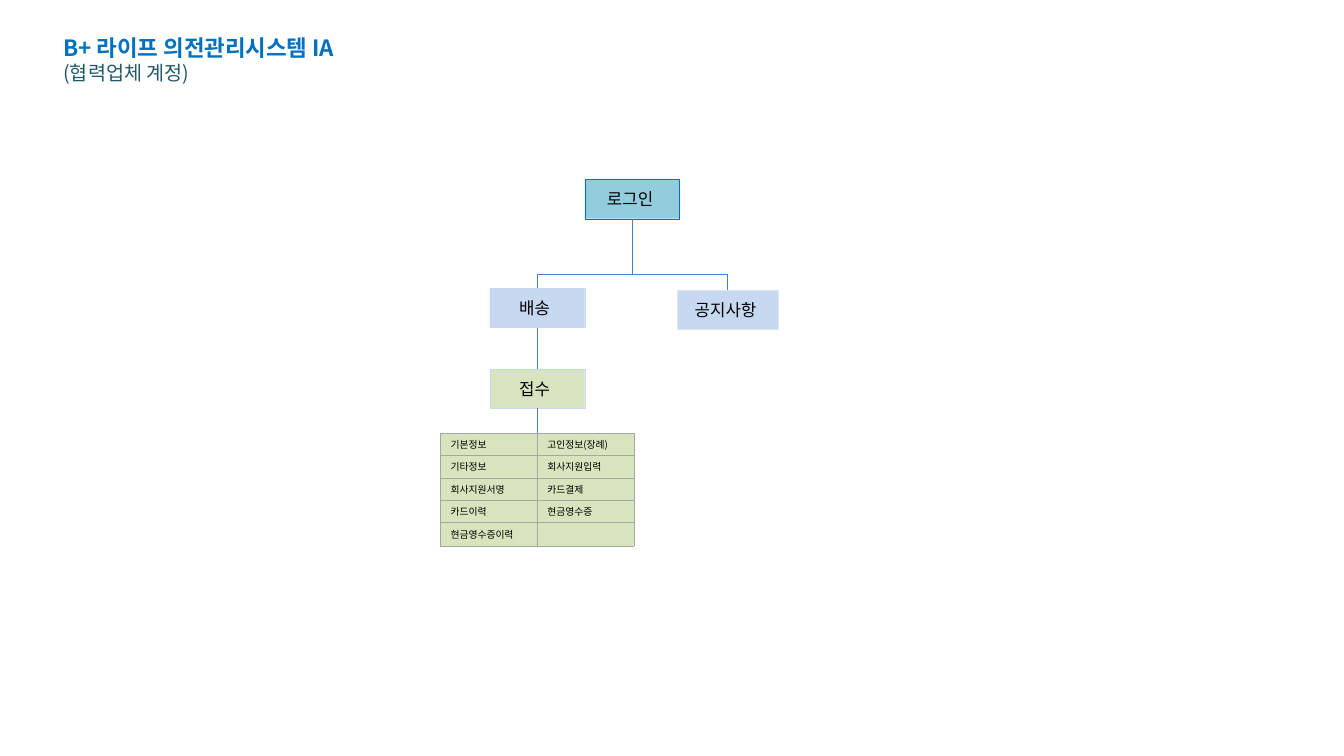
from lxml import etree
from pptx import Presentation
from pptx.dml.color import RGBColor
from pptx.enum.shapes import MSO_CONNECTOR, MSO_SHAPE
from pptx.enum.text import MSO_ANCHOR, PP_ALIGN
from pptx.oxml.ns import qn
from pptx.util import Inches, Pt

RECTANGLE = MSO_SHAPE.RECTANGLE
STRAIGHT = MSO_CONNECTOR.STRAIGHT
MIDDLE = MSO_ANCHOR.MIDDLE
LEFT = PP_ALIGN.LEFT
TOP_SIDE, BOTTOM_SIDE = 0, 2

FONT = "Noto Sans CJK KR"
BLACK = RGBColor(0x00, 0x00, 0x00)
TITLE_BLUE = RGBColor(0x00, 0x70, 0xC0)
SUBTITLE_TEAL = RGBColor(0x21, 0x59, 0x68)
LOGIN_TEAL = RGBColor(0x93, 0xCD, 0xDD)
MENU_BLUE = RGBColor(0xC6, 0xD9, 0xF1)
PALE_BLUE = RGBColor(0xDC, 0xE6, 0xF2)
DETAIL_GREEN = RGBColor(0xD7, 0xE4, 0xBD)
LINE_BLUE = RGBColor(0x4B, 0x7E, 0xBC)


def write(para, text, size, color, bold=False):
    para.text = text
    para.alignment = LEFT
    for span in para.runs:
        span.font.size = Pt(size)
        span.font.name = FONT
        span.font.bold = bold
        span.font.color.rgb = color
        east_asian = etree.SubElement(span.font._element, qn("a:ea"))
        east_asian.set("typeface", FONT)


def connect(start, end, start_box=None, end_box=None):
    line = page.shapes.add_connector(STRAIGHT, *(Inches(n) for n in start + end))
    if start_box is not None:
        line.begin_connect(start_box, BOTTOM_SIDE)
    if end_box is not None:
        line.end_connect(end_box, TOP_SIDE)
    line.line.color.rgb = LINE_BLUE
    line.line.width = Pt(0.75)
    etree.SubElement(line._element.spPr, qn("a:effectLst"))


deck = Presentation()
deck.slide_width = Inches(13.33)
deck.slide_height = Inches(7.5)
page = deck.slides.add_slide(deck.slide_layouts[6])

# Title
title = page.shapes.add_textbox(Inches(0.53), Inches(0.29), Inches(4.45), Inches(0.61))
title.text_frame.word_wrap = True
write(title.text_frame.paragraphs[0], "B+ 라이프 의전관리시스템 IA", 16, TITLE_BLUE, True)
write(title.text_frame.add_paragraph(), "(협력업체 계정)", 14, SUBTITLE_TEAL)

# Menu boxes: label, left, top, width, text indent, fill, outline
menu = [
    ("로그인", 5.8, 1.78, 0.94, 0.22, LOGIN_TEAL, TITLE_BLUE),
    ("배송", 4.86, 2.86, 0.94, 0.29, MENU_BLUE, MENU_BLUE),
    ("공지사항", 6.72, 2.88, 1, 0.17, MENU_BLUE, PALE_BLUE),
    ("접수", 4.86, 3.66, 0.94, 0.29, DETAIL_GREEN, MENU_BLUE),
]
boxes = []
for label, left, top, width, indent, fill, outline in menu:
    box = page.shapes.add_shape(RECTANGLE, Inches(left), Inches(top), Inches(width), Inches(0.39))
    box.shadow.inherit = False
    box.fill.solid()
    box.fill.fore_color.rgb = fill
    box.line.color.rgb = outline
    box.line.width = Pt(0.25)
    frame = box.text_frame
    frame.word_wrap = False
    frame.vertical_anchor = MIDDLE
    frame.margin_left = Inches(indent)
    frame.margin_right = frame.margin_top = frame.margin_bottom = 0
    write(frame.paragraphs[0], label, 12, BLACK)
    boxes.append(box)
login, delivery, notice, reception = boxes

# Branches
login_x, delivery_x, notice_x, branch_y = 6.27, 5.33, 7.22, 2.72
connect((login_x, 2.17), (login_x, branch_y), start_box=login)
connect((delivery_x, branch_y), (notice_x, branch_y))
connect((delivery_x, branch_y), (delivery_x, 2.86), end_box=delivery)
connect((notice_x, branch_y), (notice_x, 2.88), end_box=notice)
connect((delivery_x, 3.25), (delivery_x, 3.66), delivery, reception)
connect((delivery_x, 4.05), (delivery_x, 4.3), start_box=reception)

# Reception details
details = [
    ("기본정보", "고인정보(장례)"),
    ("기타정보", "회사지원입력"),
    ("회사지원서명", "카드결제"),
    ("카드이력", "현금영수증"),
    ("현금영수증이력", ""),
]
table = page.shapes.add_table(5, 2, Inches(4.37), Inches(4.3), Inches(1.92), Inches(1.1)).table
for row, texts in zip(table.rows, details):
    row.height = Inches(0.22)
    for cell, text in zip(row.cells, texts):
        cell.margin_left = Inches(0.1)
        cell.margin_right = Inches(0.05)
        cell.margin_top = cell.margin_bottom = Inches(0.02)
        cell.vertical_anchor = MIDDLE
        para = cell.text_frame.paragraphs[0]
        write(para, text, 7, BLACK)
        if not text:
            etree.SubElement(para._p, qn("a:endParaRPr")).set("sz", "700")
        properties = cell._tc.get_or_add_tcPr()
        for side in ("a:lnL", "a:lnR", "a:lnT", "a:lnB"):
            border = etree.SubElement(properties, qn(side), w=str(Pt(0.25)))
            border_fill = etree.SubElement(border, qn("a:solidFill"))
            etree.SubElement(border_fill, qn("a:srgbClr"), val="A6A6A6")
        cell.fill.solid()
        cell.fill.fore_color.rgb = DETAIL_GREEN
table.rows[4].height = Inches(0.24)

deck.save("out.pptx")
